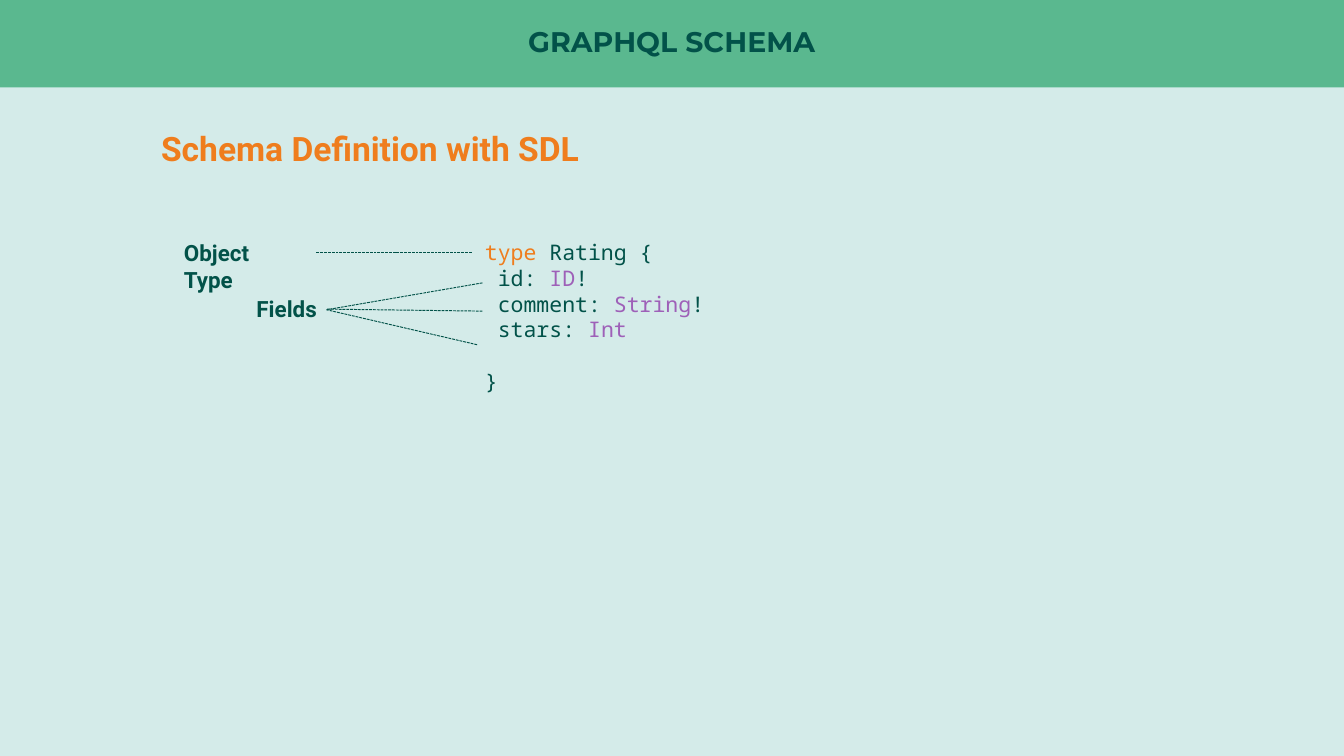
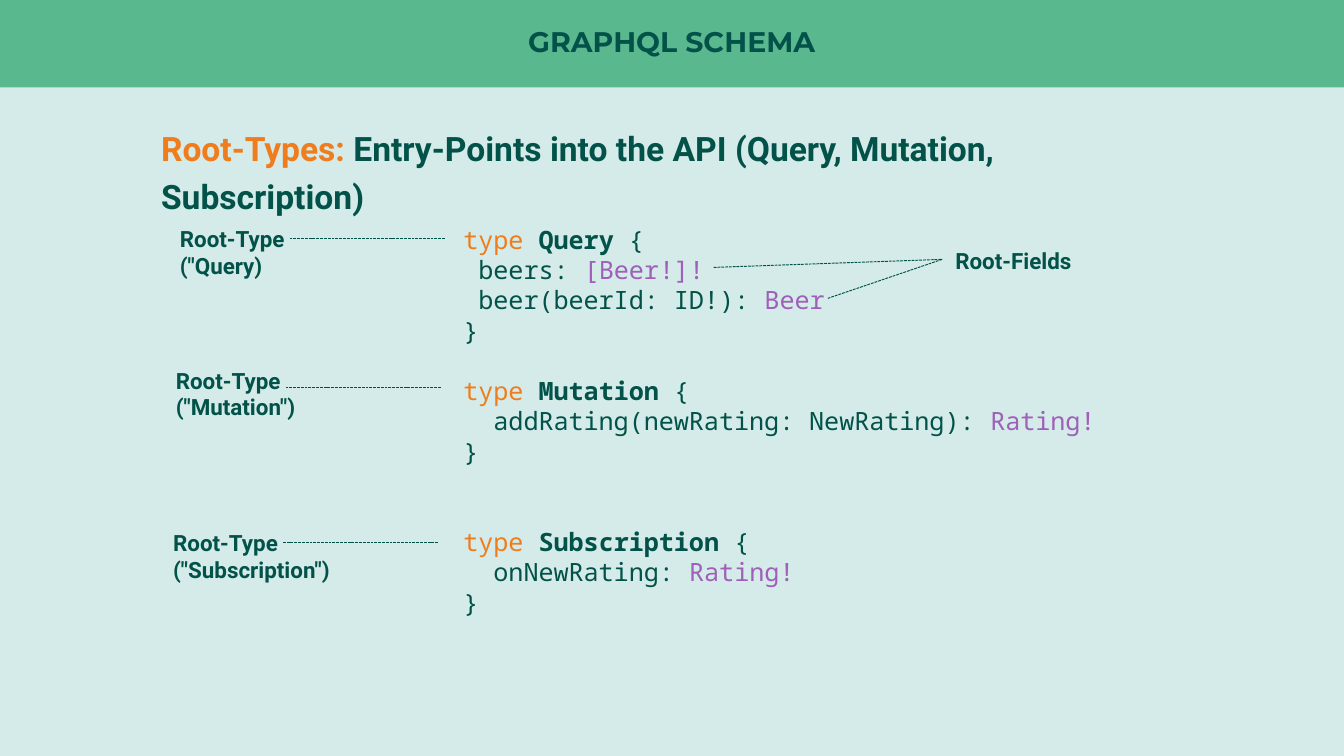
from dataclasses import dataclass

import lxml.etree
import pptx
import pptx.dml.color
import pptx.enum.dml
import pptx.enum.shapes
import pptx.enum.text
import pptx.oxml.ns
import pptx.util

EMU_PER_PX = 4572
SLIDE_W, SLIDE_H, BAND_H = 2000, 1125, 130

MINT = pptx.dml.color.RGBColor(0xD4, 0xEB, 0xE9)
GREEN = pptx.dml.color.RGBColor(0x5A, 0xB8, 0x8F)
DARK = pptx.dml.color.RGBColor(0x02, 0x52, 0x49)
ORANGE = pptx.dml.color.RGBColor(0xEF, 0x7D, 0x1D)
PURPLE = pptx.dml.color.RGBColor(0x9E, 0x60, 0xB8)

TITLE_FONT, BODY_FONT, CODE_FONT = "Montserrat", "Roboto", "Noto Sans Mono"


@dataclass(frozen=True)
class Span:
    text: str
    color: pptx.dml.color.RGBColor = DARK
    bold: bool = False


@dataclass(frozen=True)
class Line:
    spans: tuple[Span, ...]
    blank_before: int = 0


@dataclass(frozen=True)
class Code:
    x: int
    y: int
    w: int
    h: int
    size: float
    lines: tuple[Line, ...]


@dataclass(frozen=True)
class Label:
    text: str
    x: int
    y: int
    w: int
    h: int


@dataclass(frozen=True)
class Leader:
    x1: int
    y1: int
    x2: int
    y2: int


@dataclass(frozen=True)
class Page:
    heading: tuple[Span, ...]
    code: Code
    labels: tuple[Label, ...]
    leaders: tuple[Leader, ...]


def px(n: int) -> pptx.util.Emu:
    return pptx.util.Emu(n * EMU_PER_PX)


def line(*spans: Span, blank_before: int = 0) -> Line:
    return Line(spans, blank_before)


def opening(name: str, bold: bool = True, blank_before: int = 0) -> Line:
    return line(Span("type ", ORANGE), Span(name, DARK, bold), Span(" {"),
                blank_before=blank_before)


def field(text: str, kind: str, tail: str = "") -> Line:
    spans = (Span(text), Span(kind, PURPLE))
    return Line(spans + (Span(tail),) if tail else spans)


def style(r, font: str, size: float, color: pptx.dml.color.RGBColor, bold: bool) -> None:
    r.font.name = font
    r.font.size = pptx.util.Pt(size)
    r.font.color.rgb = color
    r.font.bold = bold


def add_spans(p, spans: tuple[Span, ...], font: str, size: float) -> None:
    for span in spans:
        r = p.add_run()
        r.text = span.text
        style(r, font, size, span.color, span.bold)


def add_box(s, x: int, y: int, w: int, h: int):
    tf = s.shapes.add_textbox(px(x), px(y), px(w), px(h)).text_frame
    tf.word_wrap = True
    tf.auto_size = pptx.enum.text.MSO_AUTO_SIZE.SHAPE_TO_FIT_TEXT
    return tf


def add_band(s, title: str) -> None:
    sp = s.shapes.add_shape(pptx.enum.shapes.MSO_SHAPE.RECTANGLE,
                            0, 0, px(SLIDE_W), px(BAND_H))
    sp.shadow.inherit = False
    sp.fill.solid()
    sp.fill.fore_color.rgb = GREEN
    sp.line.fill.background()
    tf = sp.text_frame
    tf.margin_left = tf.margin_right = tf.margin_top = tf.margin_bottom = 0
    tf.vertical_anchor = pptx.enum.text.MSO_ANCHOR.MIDDLE
    tf.text = title
    p = tf.paragraphs[0]
    p.alignment = pptx.enum.text.PP_ALIGN.CENTER
    p.line_spacing = 0.9
    style(p.runs[0], TITLE_FONT, 15.2, DARK, True)


def add_heading(s, spans: tuple[Span, ...]) -> None:
    p = add_box(s, 220, 168, 1558, 88).paragraphs[0]
    p.line_spacing = 1.2
    add_spans(p, spans, BODY_FONT, 18)


def add_code(s, code: Code) -> None:
    tf = add_box(s, code.x, code.y, code.w, code.h)
    for i, row in enumerate(code.lines):
        p = tf.add_paragraph() if i else tf.paragraphs[0]
        if row.blank_before:
            p.space_before = pptx.util.Pt(round(row.blank_before * code.size * 1.2, 1))
        add_spans(p, row.spans, CODE_FONT, code.size)


def add_label(s, label: Label) -> None:
    tf = add_box(s, label.x, label.y, label.w, label.h)
    tf.text = label.text
    for p in tf.paragraphs:
        style(p.runs[0], BODY_FONT, 12, DARK, True)


def add_leader(s, leader: Leader) -> None:
    cxn = s.shapes.add_connector(pptx.enum.shapes.MSO_CONNECTOR.STRAIGHT,
                                 px(leader.x1), px(leader.y1),
                                 px(leader.x2), px(leader.y2))
    cxn.line.color.rgb = DARK
    cxn.line.width = pptx.util.Pt(0.5)
    cxn.line.dash_style = pptx.enum.dml.MSO_LINE.SQUARE_DOT
    lxml.etree.SubElement(cxn._element.spPr, pptx.oxml.ns.qn("a:effectLst"))


def add_page(prs, page: Page) -> None:
    s = prs.slides.add_slide(prs.slide_layouts[6])
    s.background.fill.solid()
    s.background.fill.fore_color.rgb = MINT
    add_band(s, "GRAPHQL SCHEMA")
    add_heading(s, page.heading)
    add_code(s, page.code)
    for label in page.labels:
        add_label(s, label)
    for leader in page.leaders:
        add_leader(s, leader)


CLOSING = line(Span("}"))

SDL = Page(
    heading=(Span("Schema Definition with SDL", ORANGE, True),),
    code=Code(702, 346, 670, 368, 11.5, (
        opening("Rating", bold=False),
        field(" id: ", "ID", "!"),
        field(" comment: ", "String", "!"),
        field(" stars: ", "Int"),
        line(Span("}"), blank_before=1),
    )),
    labels=(
        Label("Object Type", 254, 346, 216, 60),
        Label("Fields", 362, 430, 216, 60),
    ),
    leaders=(
        Leader(702, 376, 470, 376),
        Leader(718, 421, 486, 461),
        Leader(718, 463, 486, 460),
        Leader(710, 513, 486, 461),
    ),
)

ROOT_TYPES = Page(
    heading=(
        Span("Root-Types: ", ORANGE, True),
        Span("Entry-Points into the API (Query, Mutation, Subscription)", DARK, True),
    ),
    code=Code(670, 324, 1032, 656, 13.5, (
        opening("Query"),
        field(" beers: ", "[Beer!]!"),
        field(" beer(beerId: ID!): ", "Beer"),
        CLOSING,
        opening("Mutation", blank_before=1),
        field("  addRating(newRating: NewRating): ", "Rating!"),
        CLOSING,
        opening("Subscription", blank_before=2),
        field("  onNewRating: ", "Rating!"),
        CLOSING,
    )),
    labels=(
        Label("Root-Type\n(\"Query)", 248, 326, 480, 100),
        Label("Root-Type\n(\"Mutation\")", 242, 536, 480, 100),
        Label("Root-Type\n(\"Subscription\")", 238, 778, 480, 100),
        Label("Root-Fields", 1402, 358, 480, 60),
    ),
    leaders=(
        Leader(662, 355, 430, 355),
        Leader(656, 576, 424, 576),
        Leader(652, 808, 420, 808),
        Leader(1062, 398, 1402, 386),
        Leader(1402, 386, 1232, 444),
    ),
)


def main() -> None:
    prs = pptx.Presentation()
    prs.slide_width, prs.slide_height = px(SLIDE_W), px(SLIDE_H)
    for page in (SDL, ROOT_TYPES):
        add_page(prs, page)
    prs.save("out.pptx")


if __name__ == "__main__":
    main()
